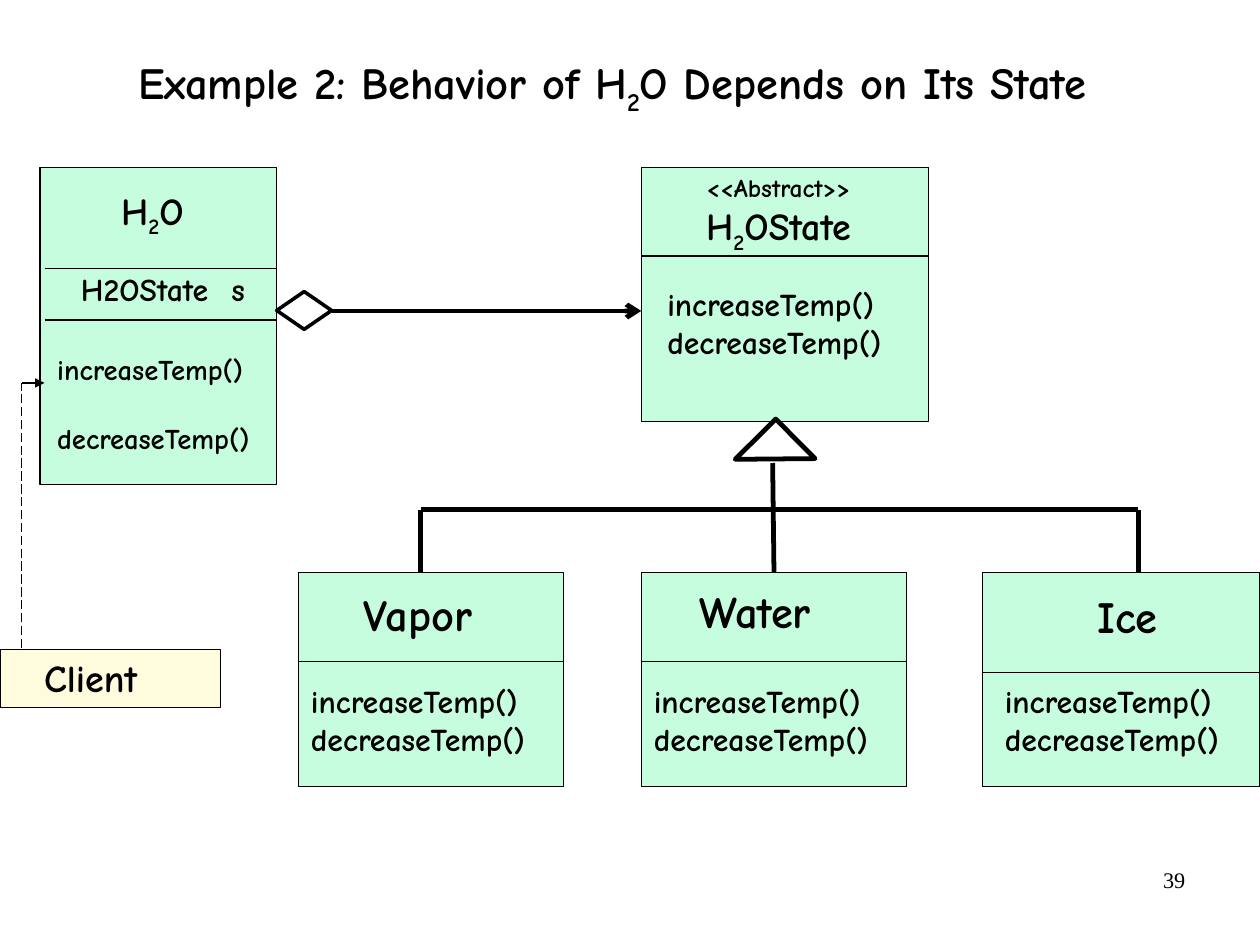
from lxml import etree
from pptx import Presentation
from pptx.dml.color import RGBColor
from pptx.enum.dml import MSO_LINE
from pptx.enum.shapes import MSO_CONNECTOR, MSO_SHAPE
from pptx.enum.text import MSO_ANCHOR, PP_ALIGN
from pptx.oxml.ns import qn
from pptx.util import Cm, Pt

LEFT, CENTER, RIGHT = PP_ALIGN.LEFT, PP_ALIGN.CENTER, PP_ALIGN.RIGHT
TOP, BOTTOM = MSO_ANCHOR.TOP, MSO_ANCHOR.BOTTOM
RECTANGLE, DIAMOND = MSO_SHAPE.RECTANGLE, MSO_SHAPE.DIAMOND
RIGHT_TRIANGLE = MSO_SHAPE.RIGHT_TRIANGLE
STRAIGHT = MSO_CONNECTOR.STRAIGHT
LONG_DASH = MSO_LINE.LONG_DASH


class Theme:
    ink = RGBColor(0x00, 0x00, 0x00)
    class_fill = RGBColor(0xC7, 0xFD, 0xDF)
    client_fill = RGBColor(0xFE, 0xFC, 0xDC)
    diamond_fill = RGBColor(0xFF, 0xFF, 0xFF)
    body_font = "Comic Neue"
    number_font = "Times New Roman"
    heading, class_name, method = Pt(28), Pt(24), Pt(20)
    small_method, stereotype, page_number = Pt(18), Pt(16), Pt(14)
    thin, medium, thick = Pt(0.75), Pt(2.25), Pt(3)


METHODS = ("increaseTemp()", "decreaseTemp()")
INSETS = {
    "margin_left": Cm(0.28), "margin_right": Cm(0.28),
    "margin_top": Cm(0.15), "margin_bottom": Cm(0.15), "word_wrap": True,
}

prs = Presentation()
prs.slide_width, prs.slide_height = Cm(28), Cm(21)
slide = prs.slides.add_slide(prs.slide_layouts[6])


def add_label(x, y, w, h, lines, align=LEFT, anchor=TOP, **font_format):
    """Write (text, size) lines; text between two underscores is a subscript."""
    frame = slide.shapes.add_textbox(Cm(x), Cm(y), Cm(w), Cm(h)).text_frame
    for attribute, value in {**INSETS, "vertical_anchor": anchor}.items():
        setattr(frame, attribute, value)
    for index, (text, size) in enumerate(lines):
        paragraph = frame.add_paragraph() if index else frame.paragraphs[0]
        paragraph.alignment = align
        font_values = {"name": Theme.body_font, "bold": True, "size": size, **font_format}
        for position, part in enumerate(text.split("_")):
            run = paragraph.add_run()
            run.text = part
            run.font.color.rgb = Theme.ink
            for attribute, value in font_values.items():
                setattr(run.font, attribute, value)
            if position % 2:
                run.font._element.set("baseline", "-25000")
    return frame


def add_line(x1, y1, x2, y2, width=Theme.thin, dash=None, arrowhead=None):
    connector = slide.shapes.add_connector(STRAIGHT, Cm(x1), Cm(y1), Cm(x2), Cm(y2))
    connector.line.color.rgb = Theme.ink
    connector.line.width = width
    if dash:
        connector.line.dash_style = dash
    if arrowhead:
        outline = connector.line._get_or_add_ln()
        etree.SubElement(outline, qn("a:tailEnd"), type=arrowhead)
    etree.SubElement(connector._element.spPr, qn("a:effectLst"))


# Layout of the three state classes
STATE_TOP, STATE_HEIGHT = 12.73, 4.75
states = [  # name, left, width, divider y, name left, name top, methods left
    ("Vapor", 6.63, 5.89, 14.7, 7.8, 12.9, 6.63),
    ("Water", 14.25, 5.89, 14.7, 15.27, 12.83, 14.25),
    ("Ice", 21.84, 6.16, 14.94, 24.1, 12.93, 22.05),
]

# Boxes, diamond and inheritance triangle
outlines = [
    (RECTANGLE, 0.89, 3.73, 5.26, 7.04, Theme.class_fill, Theme.thin, 0),
    (RECTANGLE, 14.25, 3.73, 6.38, 5.64, Theme.class_fill, Theme.thin, 0),
    (RECTANGLE, 0, 14.43, 4.9, 1.3, Theme.client_fill, Theme.thin, 0),
    (DIAMOND, 6.15, 6.48, 1.22, 0.84, Theme.diamond_fill, Theme.medium, 0),
    (RIGHT_TRIANGLE, 16.59, 9.58, 1.27, 1.24, None, Theme.thick, 135.2),
]
for _, left, width, *_ in states:
    outlines.append((RECTANGLE, left, STATE_TOP, width, STATE_HEIGHT,
                     Theme.class_fill, Theme.thin, 0))
for kind, x, y, w, h, fill, line_width, rotation in outlines:
    outline_shape = slide.shapes.add_shape(kind, Cm(x), Cm(y), Cm(w), Cm(h))
    outline_shape.shadow.inherit = False
    outline_shape.rotation = rotation
    outline_shape.line.color.rgb = Theme.ink
    outline_shape.line.width = line_width
    if fill is None:
        outline_shape.fill.background()
    else:
        outline_shape.fill.solid()
        outline_shape.fill.fore_color.rgb = fill

# Title and page number
add_label(0, 0, 27.2, 2.61,
          [("Example 2: Behavior of H_2_O Depends on Its State", Theme.heading)],
          CENTER, BOTTOM).paragraphs[0].line_spacing = 0.88
add_label(20.07, 19.1, 6.55, 1.45, [("39", Theme.page_number)], RIGHT,
          name=Theme.number_font, bold=False)

# H2O class
for divider_y in (5.97, 7.11):
    add_line(0.99, divider_y, 6.15, divider_y)
add_label(0.48, 4.01, 5.82, 1.45, [("H_2_O", Theme.class_name)], CENTER)
field = add_label(1.52, 5.84, 4.5, 1.12, [("H2OState\ts", Theme.method)])
tab_stops = etree.SubElement(field.paragraphs[0]._p.get_or_add_pPr(), qn("a:tabLst"))
etree.SubElement(tab_stops, qn("a:tab"), pos=str(Cm(3.34)), algn="l")
h2o_methods = add_label(0.99, 7.67, 5.66, 2.57,
                        [(method, Theme.small_method) for method in METHODS])
h2o_methods.paragraphs[1].space_before = Pt(21.7)

# H2OState class
add_line(14.25, 5.69, 20.63, 5.69)
add_label(15.2, 3.68, 4.2, 2.11,
          [("<<Abstract>>", Theme.stereotype), ("H_2_OState", Theme.class_name)], CENTER)
add_label(14.55, 6.17, 6.4, 1.98, [(method, Theme.method) for method in METHODS])

# State classes
for name, left, width, divider_y, name_left, name_top, methods_left in states:
    add_line(left, divider_y, left + width, divider_y)
    add_label(name_left, name_top, 3.8, 1.47, [(name, Theme.heading)])
    add_label(methods_left, 14.99, 5.95, 1.98, [(method, Theme.method) for method in METHODS])

# Client
add_label(0.7, 14.4, 4.2, 1.3, [("Client", Theme.class_name)])
add_line(0.48, 14.4, 0.48, 8.51, dash=LONG_DASH)
add_line(0.48, 8.51, 0.99, 8.51, arrowhead="triangle")

# Aggregation and inheritance
BRANCH_Y = 11.33
add_line(7.37, 6.91, 14.25, 6.91, Theme.thick, arrowhead="arrow")
add_line(9.35, BRANCH_Y, 25.3, BRANCH_Y, Theme.thick)
for branch_x in (9.35, 25.3):
    add_line(branch_x, STATE_TOP, branch_x, BRANCH_Y, Theme.thick)
add_line(17.2, STATE_TOP, 17.17, 10.29, Theme.thick)

prs.save("out.pptx")
